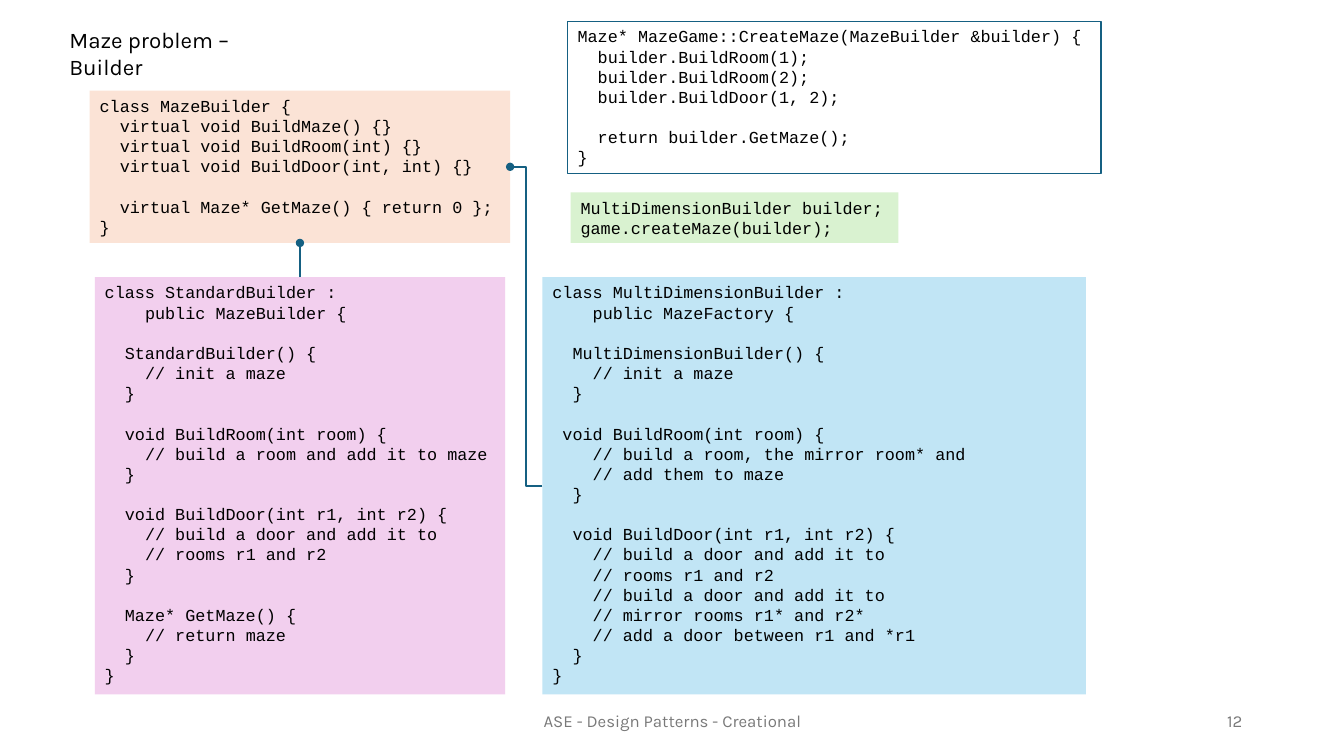
"""Builds the slide showing the Builder pattern applied to the maze problem."""
from pptx import Presentation
from pptx import util as u
from pptx.dml.color import RGBColor
from pptx.enum import shapes, text
from pptx.oxml import parse_xml
from pptx.oxml.ns import nsdecls

THEME = {
    "code_font": "Courier New", "label_font": "Karla",
    "code_size": 12, "title_size": 16, "footer_size": 12,
    "ink": "000000", "muted": "797979", "accent": "156082",
    "builder": "FBE3D6", "multi": "C1E5F5", "standard": "F2CFEE", "client": "D9F2D0",
    "outline_width": 0.75, "connector_width": 1.5,
    "character_width": 0.1, "blank_line": 14.4,
}

LABELS = [
    ("ASE - Design Patterns - Creational", (4.42, 6.95, 4.5, 0.4), "footer_size", "muted", "CENTER", "MIDDLE"),
    ("12", (9.42, 6.95, 3, 0.4), "footer_size", "muted", "RIGHT", "MIDDLE"),
    ("Maze problem – Builder", (0.59, 0.21, 2.46, 0.37), "title_size", "ink", "LEFT", "TOP"),
]

CODE_BLOCKS = {
    "builder": ((0.89, 0.9, 4.17, 1.51), """\
class MazeBuilder {
  virtual void BuildMaze() {}
  virtual void BuildRoom(int) {}
  virtual void BuildDoor(int, int) {}

  virtual Maze* GetMaze() { return 0 };
}"""),
    "multi": ((5.38, 2.75, 5.39, 4.14), """\
class MultiDimensionBuilder :
    public MazeFactory {

  MultiDimensionBuilder() {
    // init a maze
  }

 void BuildRoom(int room) {
    // build a room, the mirror room* and
    // add them to maze
  }

  void BuildDoor(int r1, int r2) {
    // build a door and add it to
    // rooms r1 and r2
    // build a door and add it to
    // mirror rooms r1* and r2*
    // add a door between r1 and *r1
  }
}"""),
    "game": ((5.63, 0.21, 5.29, 1.51), """\
Maze* MazeGame::CreateMaze(MazeBuilder &builder) {
  builder.BuildRoom(1);
  builder.BuildRoom(2);
  builder.BuildDoor(1, 2);

  return builder.GetMaze();
}"""),
    "standard": ((0.94, 2.75, 4.07, 4.14), """\
class StandardBuilder :
    public MazeBuilder {

  StandardBuilder() {
    // init a maze
  }

  void BuildRoom(int room) {
    // build a room and add it to maze
  }

  void BuildDoor(int r1, int r2) {
    // build a door and add it to
    // rooms r1 and r2
  }

  Maze* GetMaze() {
    // return maze
  }
}"""),
    "client": ((5.66, 1.91, 3.25, 0.5), """\
MultiDimensionBuilder builder;
game.createMaze(builder);"""),
}

TOP, LEFT, BOTTOM, RIGHT = range(4)
INHERITANCE = [
    ("ELBOW", "multi", LEFT, "builder", RIGHT),
    ("STRAIGHT", "standard", TOP, "builder", BOTTOM),
]


def color(name):
    return RGBColor.from_string(THEME[name])


def apply_format(target, values):
    for name, value in values.items():
        setattr(target, name, value)


def write(paragraph, content, font, size, ink):
    run = paragraph.add_run()
    run.text = content
    apply_format(run.font, {"name": THEME[font], "size": u.Pt(THEME[size])})
    run.font.color.rgb = color(ink)


def add_label(slide, content, box, size, ink, alignment, anchor):
    frame = slide.shapes.add_textbox(*map(u.Inches, box)).text_frame
    apply_format(frame, {"word_wrap": True, "vertical_anchor": text.MSO_ANCHOR[anchor]})
    paragraph = frame.paragraphs[0]
    paragraph.alignment = text.PP_ALIGN[alignment]
    write(paragraph, content, "label_font", size, ink)


def add_code(slide, name, box, code):
    shape = slide.shapes.add_shape(shapes.MSO_SHAPE.RECTANGLE, *map(u.Inches, box))
    shape.shadow.inherit = False
    if name in THEME:
        shape.fill.solid()
        shape.fill.fore_color.rgb = color(name)
        shape.line.fill.background()
    else:
        shape.fill.background()
        shape.line.color.rgb = color("accent")
        shape.line.width = u.Pt(THEME["outline_width"])
    frame = shape.text_frame
    apply_format(frame, {"word_wrap": True, "vertical_anchor": text.MSO_ANCHOR.TOP})
    paragraph, gap = frame.paragraphs[0], 0
    for number, line in enumerate(code.splitlines()):
        statement = line.lstrip()
        if not statement:
            gap = THEME["blank_line"]
            continue
        if number:
            paragraph = frame.add_paragraph()
        apply_format(paragraph, {"alignment": text.PP_ALIGN.LEFT, "space_before": u.Pt(gap)})
        indent = (len(line) - len(statement)) * THEME["character_width"]
        paragraph._p.get_or_add_pPr().set("marL", str(u.Inches(indent)))
        write(paragraph, statement, "code_font", "code_size", "ink")
        gap = 0
    return shape


def add_inheritance(slide, blocks, kind, child, child_side, parent, parent_side):
    connector = slide.shapes.add_connector(shapes.MSO_CONNECTOR[kind], 0, 0, 0, 0)
    connector.begin_connect(blocks[child], child_side)
    connector.end_connect(blocks[parent], parent_side)
    connector.line.color.rgb = color("accent")
    connector.line.width = u.Pt(THEME["connector_width"])
    connector.line._get_or_add_ln().append(parse_xml(f'<a:tailEnd {nsdecls("a")} type="oval"/>'))
    connector._element.spPr.append(parse_xml(f'<a:effectLst {nsdecls("a")}/>'))


def main():
    presentation = Presentation()
    apply_format(presentation, {"slide_width": u.Inches(13.33), "slide_height": u.Inches(7.5)})
    slide = presentation.slides.add_slide(presentation.slide_layouts[6])
    for label in LABELS:
        add_label(slide, *label)
    blocks = {name: add_code(slide, name, *block) for name, block in CODE_BLOCKS.items()}
    for link in INHERITANCE:
        add_inheritance(slide, blocks, *link)
    presentation.save("out.pptx")


if __name__ == "__main__":
    main()
